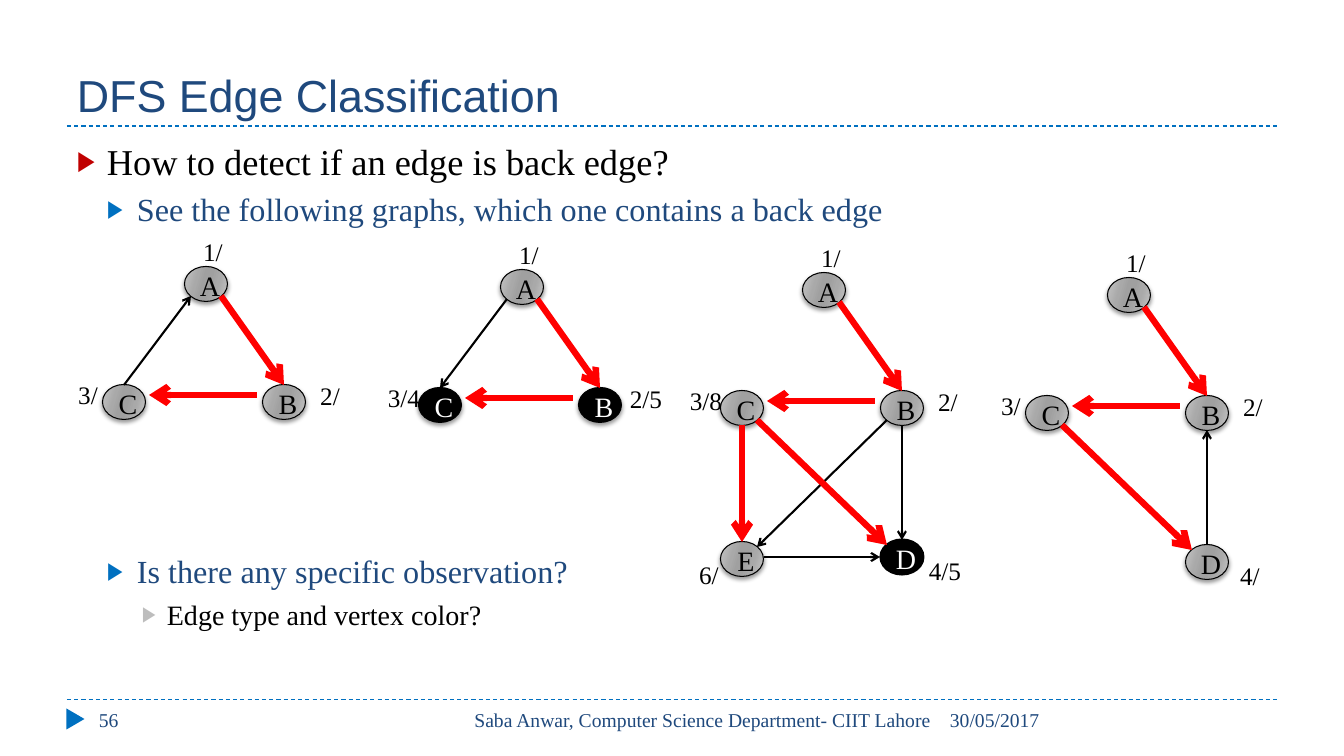
import pptx
import pptx.util
import pptx.dml.color
import pptx.enum.dml
import pptx.enum.shapes
import pptx.enum.text
import pptx.oxml
import pptx.oxml.ns

SCALE = 914400 / 100.8
SERIF = "Times New Roman"
NAVY, BLUE, RED, BLACK, WHITE = "1F497D", "0070C0", "FF0000", "000000", "FFFFFF"
ALIGN = pptx.enum.text.PP_ALIGN
ANCHOR = pptx.enum.text.MSO_ANCHOR
SHAPE = pptx.enum.shapes.MSO_SHAPE
STRAIGHT = pptx.enum.shapes.MSO_CONNECTOR.STRAIGHT
qn = pptx.oxml.ns.qn

# Vertex centres, measured from vertex A
VERTICES = {"A": (0, 0), "B": (78, 118), "C": (-82, 118), "D": (78, 267), "E": (-82, 269)}
# Centre of the time label, measured from its vertex
LABELS = {"A": (7, -33), "B": (46, -7), "C": (-36, -8), "D": (43, 13), "E": (-33, 15)}
# Points on or near a vertex where edges meet it
PORTS = {"n": (0, -17), "s": (0, 17), "e": (22, -2), "w": (-22, 0),
         "se": (15, 12), "sw": (-15, 12), "ne": (15, -12), "nw": (-15, -12),
         "off_w": (-27, -7), "off_e": (25, -7)}
EDGES = {"AB": ("se", "n"), "AC": ("sw", "n"), "CA": ("n", "sw"), "BC": ("off_w", "off_e"),
         "BD": ("s", "n"), "DB": ("n", "s"), "BE": ("sw", "ne"), "ED": ("e", "w"),
         "CE": ("s", "n"), "CD": ("se", "nw")}
GREY_STOPS = [(0, "C5C5C5"), (30, "A9A9A9"), (45, "A0A0A0"),
              (55, "A0A0A0"), (73, "A9A9A9"), (100, "C5C5C5")]


def px(n):
    return pptx.util.Emu(round(n * SCALE))


def rgb(color):
    return pptx.dml.color.RGBColor.from_string(color)


def add_xml(parent, tag, **attrs):
    el = parent.makeelement(qn(tag), attrs)
    parent.append(el)
    return el


def format_runs(p, size, color, font=SERIF):
    for r in p.runs:
        r.font.size = pptx.util.Pt(size)
        r.font.name = font
        r.font.color.rgb = rgb(color)


def add_text(shapes, box, text, size, color, font=SERIF, align=ALIGN.LEFT,
             anchor=ANCHOR.MIDDLE, wrap=True):
    tf = shapes.add_textbox(*map(px, box)).text_frame
    tf.word_wrap = wrap
    tf.vertical_anchor = anchor
    tf.text = text
    tf.paragraphs[0].alignment = align
    format_runs(tf.paragraphs[0], size, color, font)


def add_line(shapes, start, end, color, width, dash=False, arrow=False):
    line = shapes.add_connector(STRAIGHT, *map(px, (*start, *end)))
    line.line.color.rgb = rgb(color)
    line.line.width = pptx.util.Pt(width)
    if dash:
        line.line.dash_style = pptx.enum.dml.MSO_LINE.DASH
    if arrow:
        add_xml(line.line._get_or_add_ln(), "a:tailEnd", type="arrow")
    add_xml(line._element.spPr, "a:effectLst")


def fill_grey(sp):
    sp.fill.gradient()
    sp.fill.gradient_angle = 344
    stops = sp._element.spPr.find(".//" + qn("a:gsLst"))
    for old in list(stops):
        stops.remove(old)
    for pos, color in GREY_STOPS:
        add_xml(add_xml(stops, "a:gs", pos=str(pos * 1000)), "a:srgbClr", val=color)


def add_shadow(sp):
    effects = sp._element.spPr.find(qn("a:effectLst"))
    shadow = add_xml(effects, "a:outerShdw", blurRad="38100", dist="25400",
                     dir="5400000", rotWithShape="0")
    add_xml(add_xml(shadow, "a:srgbClr", val=BLACK), "a:alpha", val="40000")


def add_vertex(shapes, center, name, black, flat):
    w, h = 43, 35
    x, y = center
    sp = shapes.add_shape(SHAPE.OVAL, px(x - w / 2), px(y - h / 2), px(w), px(h))
    sp.shadow.inherit = False
    if black:
        sp.fill.solid()
        sp.fill.fore_color.rgb = rgb(BLACK)
    else:
        fill_grey(sp)
    sp.line.color.rgb = rgb(BLACK)
    sp.line.width = pptx.util.Pt(1.5 if flat else 0.75)
    if not flat:
        add_shadow(sp)
    tf = sp.text_frame
    tf.word_wrap = False
    tf.vertical_anchor = ANCHOR.MIDDLE
    tf.margin_left = px(8)
    tf.margin_right = tf.margin_bottom = 0
    tf.margin_top = px(2)
    tf.text = name
    tf.paragraphs[0].alignment = ALIGN.CENTER
    format_runs(tf.paragraphs[0], 20, WHITE if black else BLACK)


def add_graph(slide, origin, times, tree, others, black="", flat=""):
    """Draw one search graph with vertex A at origin; tree edges are red."""
    shapes = slide.shapes.add_group_shape().shapes

    def place(name, offset=(0, 0)):
        return tuple(sum(c) for c in zip(origin, VERTICES[name], offset))

    for name in times:
        add_vertex(shapes, place(name), name, name in black, name in flat)
    for edges, color, width in ((others, BLACK, 1.5), (tree, RED, 4.5)):
        for edge in edges.split():
            start, end = (place(v, PORTS[port]) for v, port in zip(edge, EDGES[edge]))
            add_line(shapes, start, end, color, width, arrow=True)
    for name, time in times.items():
        x, y = place(name, LABELS[name])
        add_text(shapes, (x - 30, y - 18, 60, 36), time, 18, BLACK,
                 align=ALIGN.CENTER, wrap=False)


def add_body(slide, box, items):
    tf = slide.shapes.add_textbox(*map(px, box)).text_frame
    tf.word_wrap = True
    for i, (level, text, size, color, bullet, indent, hang, before) in enumerate(items):
        p = tf.paragraphs[0] if i == 0 else tf.add_paragraph()
        p.text = text
        p.level = level
        if before:
            p.space_before = pptx.util.Pt(before)
        pPr = p._p.get_or_add_pPr()
        pPr.set("marL", str(px(indent)))
        pPr.set("indent", str(px(-hang)))
        add_xml(add_xml(pPr, "a:buClr"), "a:srgbClr", val=bullet)
        add_xml(pPr, "a:buSzPct", val="76000")
        add_xml(pPr, "a:buFont", typeface="Arial")
        add_xml(pPr, "a:buChar", char="▶")
        format_runs(p, size, color)


def add_header(slide, box, title):
    x, y, w, h = box
    add_line(slide.shapes, (x, y + h), (x + w, y + h), BLUE, 0.75, dash=True)
    add_text(slide.shapes, box, title, 32, NAVY, font="Arial", anchor=ANCHOR.BOTTOM)


def add_footer(slide, box, number, author, date):
    x, y, w, h = box
    add_line(slide.shapes, (x, y), (x + w, y), BLUE, 0.75, dash=True)
    sp = slide.shapes.add_shape(SHAPE.ISOSCELES_TRIANGLE, px(x - 2), px(y + 10), px(21), px(18))
    sp.rotation = 90
    sp.shadow.inherit = False
    sp.fill.solid()
    sp.fill.fore_color.rgb = rgb(BLUE)
    sp.line.fill.background()
    for left, width, text, align in ((22, 291, number, ALIGN.LEFT),
                                     (359, 515, author, ALIGN.RIGHT),
                                     (873, 337, date, ALIGN.LEFT)):
        add_text(slide.shapes, (x + left, y, width, h), text, 14, NAVY, align=align)


def main():
    prs = pptx.Presentation()
    prs.slide_width, prs.slide_height = px(1344), px(756)
    slide = prs.slides.add_slide(prs.slide_layouts[6])
    add_header(slide, (67, 17, 1210, 109), "DFS Edge Classification")
    add_footer(slide, (67, 700, 1210, 40), "56",
               "Saba Anwar, Computer Science Department- CIIT Lahore", "30/05/2017")
    add_body(slide, (67, 134, 1210, 544), [
        (0, "How to detect if an edge is back edge?", 26, BLACK, "C00000", 30, 30, 0),
        (1, "See the following graphs, which one contains a back edge", 23, NAVY, BLUE, 60, 30, 5),
        (1, "Is there any specific observation?", 23, NAVY, BLUE, 60, 30, 231),
        (2, "Edge type and vertex color?", 20, BLACK, "BDBDBD", 90, 25, 5)])
    add_graph(slide, (206, 284), {"A": "1/", "B": "2/", "C": "3/"}, "AB BC", "CA")
    add_graph(slide, (522, 287), {"A": "1/", "B": "2/5", "C": "3/4"}, "AB BC", "AC", black="BC")
    add_graph(slide, (824, 290), {"A": "1/", "B": "2/", "C": "3/8", "D": "4/5", "E": "6/"},
              "AB BC CE CD", "BD BE ED", black="D", flat="D")
    add_graph(slide, (1129, 295), {"A": "1/", "B": "2/", "C": "3/", "D": "4/"},
              "AB BC CD", "DB")
    prs.save("out.pptx")


if __name__ == "__main__":
    main()
